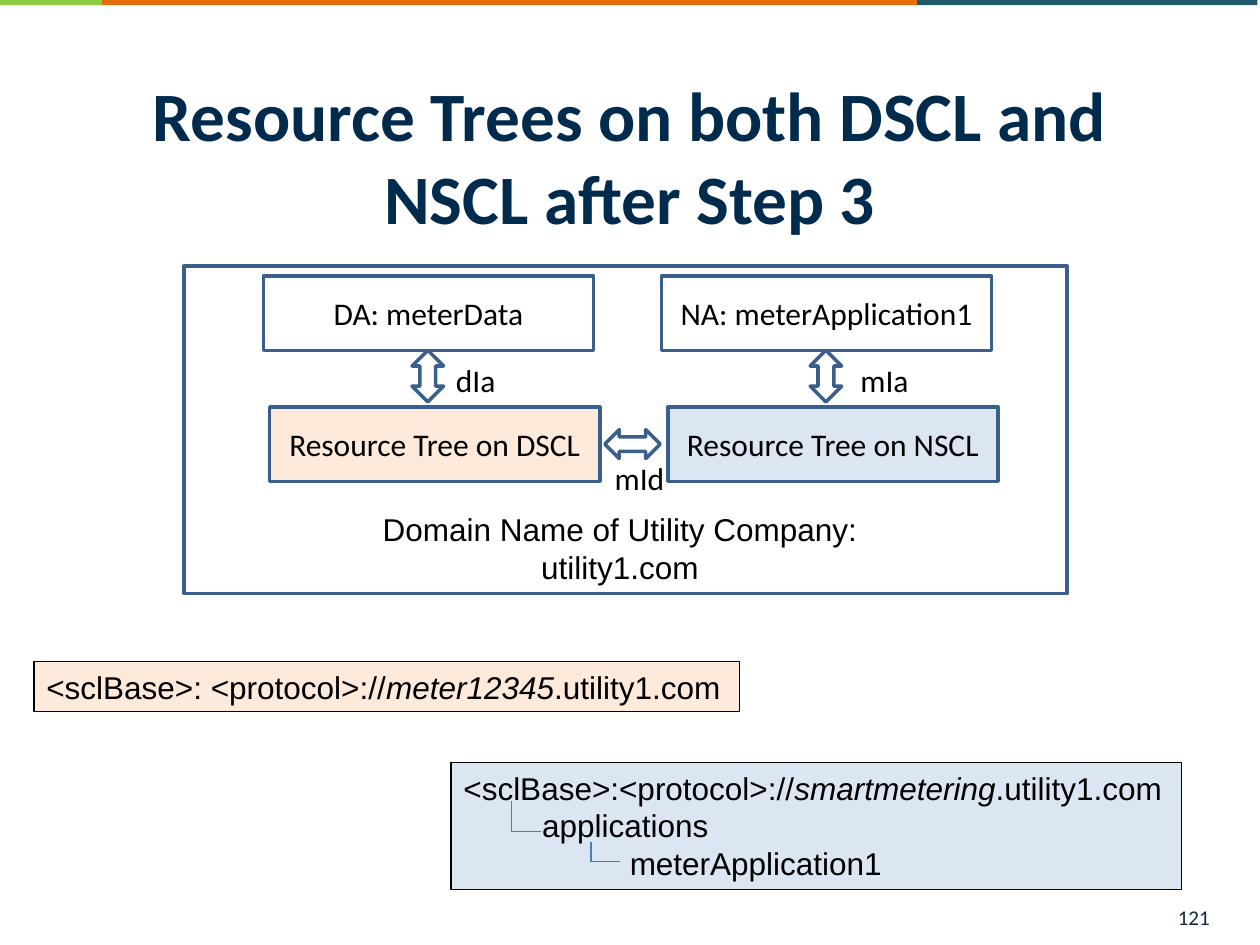
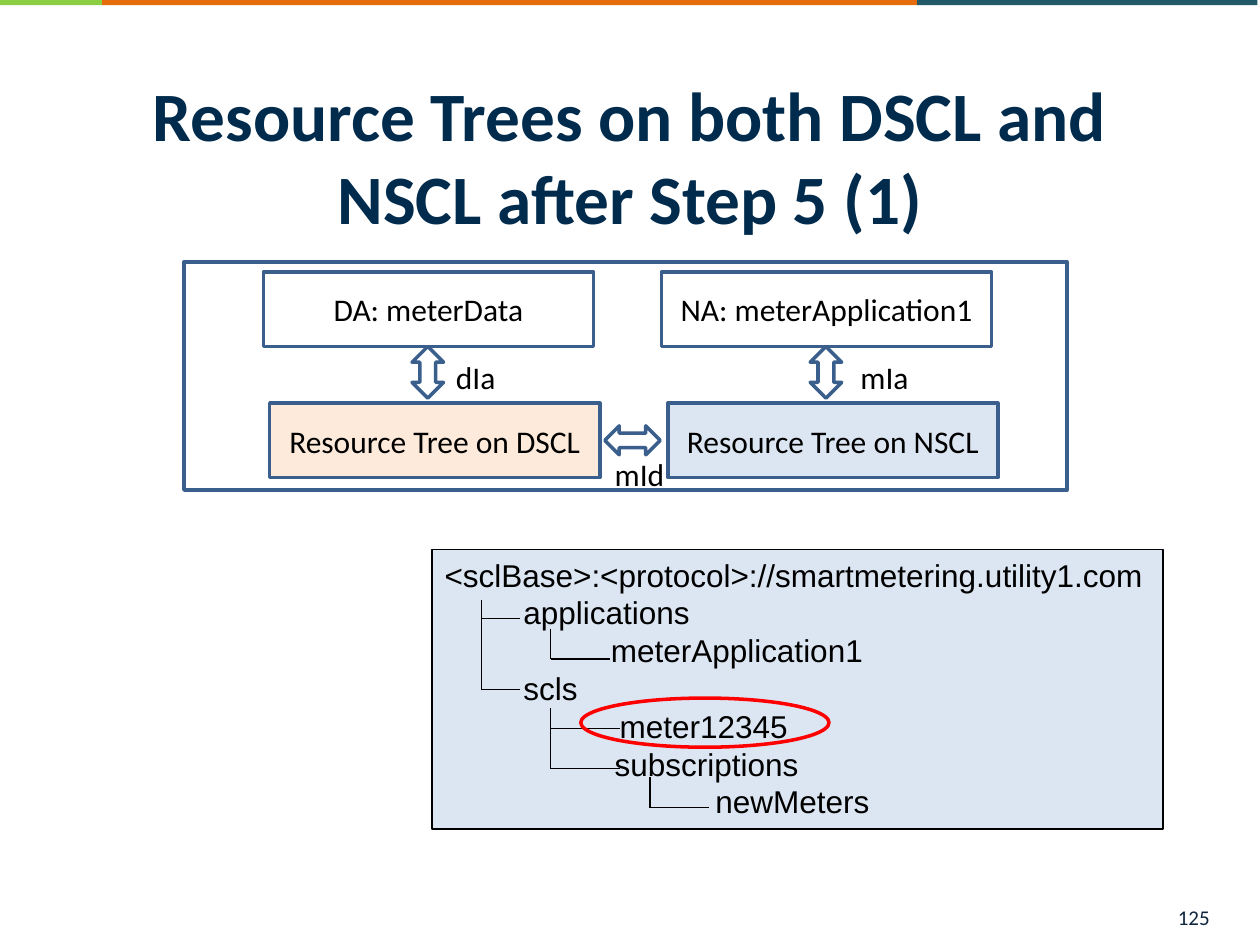
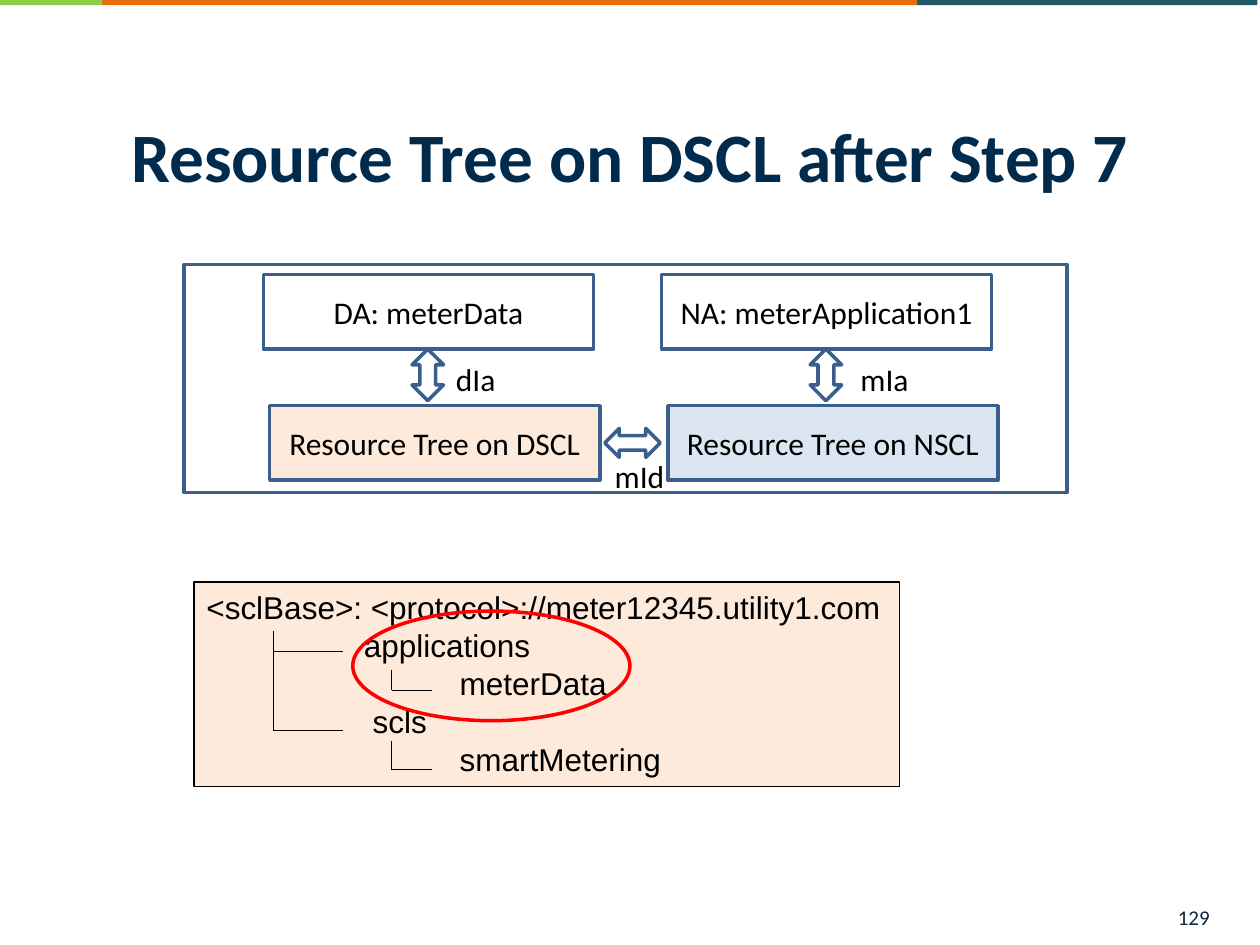
from dataclasses import dataclass
from typing import NamedTuple

from lxml.etree import SubElement
from pptx import Presentation
from pptx.dml.color import RGBColor
from pptx.enum.shapes import MSO_CONNECTOR, MSO_SHAPE as Geo
from pptx.enum.text import MSO_ANCHOR as Anchor, PP_ALIGN as Align
from pptx.oxml.ns import qn
from pptx.util import Inches, Pt

# The slide is a grid of 100 columns by 75 rows of square cells.
COLS, ROWS = 100, 75
CELL = 0.1


@dataclass(frozen=True)
class Theme:
    heading: str = "Calibri"
    body: str = "Arial"
    title_pt: float = 39.6
    text_pt: float = 18
    page_pt: float = 12
    thick_pt: float = 2
    thin_pt: float = 0.75
    title: str = "002B4C"
    page: str = "10253F"
    black: str = "000000"
    outline: str = "3A5F8C"
    branch: str = "4B7EBC"
    ring: str = "FF0000"
    device: str = "FDEADA"
    network: str = "DCE6F2"
    green: str = "8BCD43"
    orange: str = "E46C0A"
    teal: str = "215968"


T = Theme()


class Box(NamedTuple):
    col: float
    row: float
    cols: float
    rows: float


class Item(NamedTuple):
    indent: float
    text: str


class Branch(NamedTuple):
    row: float
    end_col: float


class Fork(NamedTuple):
    """A trunk going down from row `top` to its last branch."""
    col: float
    top: float
    branches: tuple[Branch, ...]


class Tree(NamedTuple):
    box: Box
    fill: str
    items: tuple[Item, ...]
    forks: tuple[Fork, ...] = ()
    line: str = T.black


class Side(NamedTuple):
    col: float
    app: str
    tree: str
    fill: str
    link: str
    link_box: tuple[float, float]


@dataclass(frozen=True)
class Page:
    number: int
    title: str
    frame_top: float
    frame_rows: float
    trees: tuple[Tree, ...]
    caption: tuple[str, ...] = ()
    ring: Box | None = None


BANDS = (
    (Box(8, -0.1, 64.8, 0.5), T.orange),
    (Box(72.8, -0.1, 27, 0.5), T.teal),
    (Box(-0.5, -0.1, 8.6, 0.5), T.green),
)
SIDES = (
    Side(20.9, "DA: meterData", "Resource Tree on DSCL", T.device, "dIa", (35.2, 5.2)),
    Side(52.5, "NA: meterApplication1", "Resource Tree on NSCL", T.network, "mIa", (67.3, 5.9)),
)
PAGES = (
    Page(
        121, "Resource Trees on both DSCL and NSCL after Step 3", 21.1, 26,
        trees=(
            Tree(
                Box(35.8, 60.5, 58, 10.1), T.network,
                (Item(0, "<sclBase>:<protocol>://*smartmetering*.utility1.com"),
                 Item(6.25, "applications"),
                 Item(13.2, "meterApplication1")),
                (Fork(40.6, 63.6, (Branch(66, 42.9),)),
                 Fork(46.9, 66.8, (Branch(68.4, 49.2),))),
                T.branch,
            ),
            Tree(Box(2.7, 52.5, 56, 4), T.device,
                 (Item(0, "<sclBase>: <protocol>://*meter12345*.utility1.com"),)),
        ),
        caption=("Domain Name of Utility Company:", "utility1.com"),
    ),
    Page(
        125, "Resource Trees on both DSCL and NSCL after Step 5 (1)", 20.8, 18.1,
        trees=(
            Tree(
                Box(34.3, 43.6, 58, 22.2), T.network,
                (Item(0, "<sclBase>:<protocol>://smartmetering.utility1.com"),
                 Item(6.25, "applications"),
                 Item(13.2, "meterApplication1"),
                 Item(6.25, "scls"),
                 Item(13.9, "meter12345"),
                 Item(13.5, "subscriptions"),
                 Item(21.5, "newMeters")),
                (Fork(38.2, 47.6, (Branch(49.1, 41.3), Branch(54.7, 41.3))),
                 Fork(43.7, 49.9, (Branch(52.3, 48.4),)),
                 Fork(43.7, 56.2, (Branch(57.8, 49.2), Branch(61, 49.2))),
                 Fork(51.6, 61.7, (Branch(64.1, 56.3),))),
            ),
        ),
        ring=Box(46.1, 55.4, 19.7, 3.9),
    ),
    Page(
        129, "Resource Tree on DSCL after Step 7", 21, 18.1,
        trees=(
            Tree(
                Box(15.4, 46.2, 56, 16.2), T.device,
                (Item(0, "<sclBase>: <protocol>://meter12345.utility1.com"),
                 Item(12.5, "applications"),
                 Item(20.1, "meterData"),
                 Item(13.2, "scls"),
                 Item(20.1, "smartMetering")),
                (Fork(21.7, 50.1, (Branch(51.7, 27.2), Branch(58, 27.2))),
                 Fork(31.1, 53.2, (Branch(54.8, 34.3),)),
                 Fork(31.1, 58.8, (Branch(61.1, 34.3),))),
            ),
        ),
        ring=Box(28, 48.5, 22, 8.7),
    ),
)


def cells(n: float) -> int:
    return Inches(n * CELL)


def rgb(color: str) -> RGBColor:
    return RGBColor.from_string(color)


def write(sp, *items: Item | str, font: str = T.heading, size: float = T.text_pt,
          color: str = T.black, bold: bool = False, align=Align.LEFT,
          anchor=Anchor.TOP, wrap: bool = True) -> None:
    """Write one paragraph per item; text between asterisks is italic."""
    tf = sp.text_frame
    tf.word_wrap, tf.vertical_anchor = wrap, anchor
    for i, item in enumerate(items):
        indent, text = (0, item) if isinstance(item, str) else item
        p = tf.add_paragraph() if i else tf.paragraphs[0]
        p.alignment = align
        if indent:
            p._p.get_or_add_pPr().set("marL", str(cells(indent)))
        for k, part in enumerate(text.split("*")):
            r = p.add_run()
            r.text = part
            f = r.font
            f.name, f.size, f.bold, f.italic = font, Pt(size), bold, k % 2 == 1
            f.color.rgb = rgb(color)


def add_shape(shapes, box: Box, geo=Geo.RECTANGLE, fill: str | None = None,
              line: str | None = T.outline, width: float = T.thick_pt):
    sp = shapes.add_shape(geo, *map(cells, box))
    sp.shadow.inherit = False
    if fill:
        sp.fill.solid()
        sp.fill.fore_color.rgb = rgb(fill)
    else:
        sp.fill.background()
    if line:
        sp.line.color.rgb = rgb(line)
        sp.line.width = Pt(width)
    else:
        sp.line.fill.background()
    return sp


def add_text(shapes, box: Box, *items: Item | str, **fmt) -> None:
    write(shapes.add_textbox(*map(cells, box)), *items, **fmt)


def add_line(shapes, col: float, row: float, end_col: float, end_row: float,
             color: str) -> None:
    ln = shapes.add_connector(MSO_CONNECTOR.STRAIGHT,
                              *map(cells, (col, row, end_col, end_row)))
    ln.line.color.rgb = rgb(color)
    ln.line.width = Pt(T.thin_pt)
    SubElement(ln._element.spPr, qn("a:effectLst"))


def add_architecture(shapes, top: float) -> None:
    """Draw both sides and the link between them, below row `top`."""
    middle = dict(align=Align.CENTER, anchor=Anchor.MIDDLE)
    for side in SIDES:
        app = add_shape(shapes, Box(side.col, top + 0.8, 26.2, 5.9))
        write(app, side.app, **middle)
        tree = add_shape(shapes, Box(side.col + 0.5, top + 11.2, 26.2, 5.9), fill=side.fill)
        write(tree, side.tree, **middle)
        add_shape(shapes, Box(side.col + 11.8, top + 6.7, 2.5, 4.1), Geo.UP_DOWN_ARROW)
        col, cols = side.link_box
        add_text(shapes, Box(col, top + 7.1, cols, 4), side.link, wrap=False)
    add_shape(shapes, Box(48, top + 13, 4.4, 2.3), Geo.LEFT_RIGHT_ARROW)
    add_text(shapes, Box(47.8, top + 14.8, 6, 4), "mId", wrap=False)


def add_tree(shapes, tree: Tree) -> None:
    sp = add_shape(shapes, tree.box, fill=tree.fill, line=T.black, width=T.thin_pt)
    write(sp, *tree.items, font=T.body)
    for fork in tree.forks:
        add_line(shapes, fork.col, fork.top, fork.col, fork.branches[-1].row, tree.line)
        for branch in fork.branches:
            add_line(shapes, fork.col, branch.row, branch.end_col, branch.row, tree.line)


def add_page(prs, page: Page) -> None:
    shapes = prs.slides.add_slide(prs.slide_layouts[6]).shapes
    for box, color in BANDS:
        add_shape(shapes, box, fill=color, line=None)
    add_text(shapes, Box(5, 6.8, 90, 11), page.title, size=T.title_pt, color=T.title,
             bold=True, align=Align.CENTER, anchor=Anchor.MIDDLE)
    add_architecture(shapes.add_group_shape().shapes, page.frame_top)
    if page.caption:
        add_text(shapes, Box(28.7, 40, 41, 7.1), *page.caption,
                 font=T.body, align=Align.CENTER)
    add_shape(shapes, Box(14.6, page.frame_top, 70.1, page.frame_rows))
    for tree in page.trees:
        add_tree(shapes.add_group_shape().shapes if tree.forks else shapes, tree)
    if page.ring:
        add_shape(shapes, page.ring, Geo.OVAL, line=T.ring)
    add_text(shapes, Box(92.5, 71.3, 6.4, 4), str(page.number),
             size=T.page_pt, color=T.page)


def main() -> None:
    prs = Presentation()
    prs.slide_width, prs.slide_height = cells(COLS), cells(ROWS)
    for page in PAGES:
        add_page(prs, page)
    prs.save("out.pptx")


if __name__ == "__main__":
    main()
